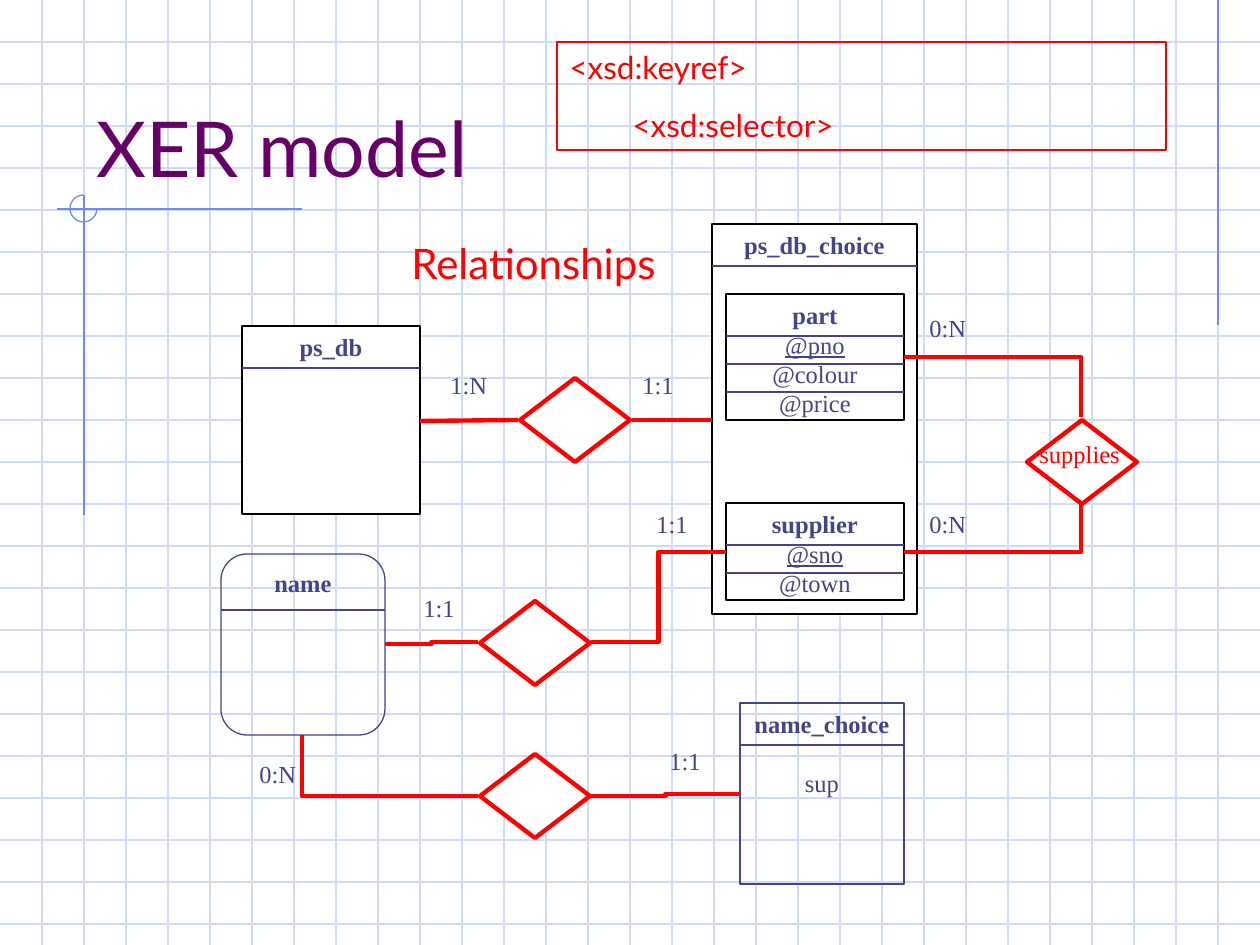
from pptx import Presentation
from pptx import util as u
from pptx.dml.color import RGBColor
from pptx.enum import shapes, text
from pptx.oxml.ns import qn
from lxml import etree

PX = 914400 / 126
WHITE = RGBColor(0xFF, 0xFF, 0xFF)
BLACK = RGBColor(0, 0, 0)
RED = RGBColor(0xFF, 0, 0)
NAVY = RGBColor(0x40, 0x45, 0x8C)
PLUM = RGBColor(0x66, 0, 0x66)
PALE = RGBColor(0xCF, 0xDB, 0xFD)
BLUE = RGBColor(0x6F, 0x89, 0xF7)
KIND = shapes.MSO_SHAPE
LINK = shapes.MSO_CONNECTOR

deck = Presentation()
deck.slide_width = int(1260 * PX)
deck.slide_height = int(945 * PX)
slide = deck.slides.add_slide(deck.slide_layouts[6])


def put(words, box, kind=None, fill=None, edge=None, wide=0.75, size=14,
        font="Times New Roman", hue=NAVY, mid=False, head=False, key=None,
        gap=0, low=False, wrap=True):
    area = [int(n * PX) for n in box]
    if kind is None:
        shape = slide.shapes.add_textbox(*area)
    else:
        shape = slide.shapes.add_shape(kind, *area)
        shape.shadow.inherit = False
        shape.line.color.rgb = edge
        shape.line.width = u.Pt(wide)
        if fill is None:
            shape.fill.background()
        else:
            shape.fill.solid()
            shape.fill.fore_color.rgb = fill
    frame = shape.text_frame
    frame.word_wrap = wrap
    frame.vertical_anchor = text.MSO_ANCHOR.BOTTOM if low else text.MSO_ANCHOR.TOP
    for i, word in enumerate(words):
        para = frame.paragraphs[0] if i == 0 else frame.add_paragraph()
        para.alignment = text.PP_ALIGN.CENTER if mid else text.PP_ALIGN.LEFT
        if i and gap:
            para.space_before = u.Pt(gap)
        run = para.add_run()
        run.text = word
        run.font.name = font
        run.font.size = u.Pt(size)
        run.font.color.rgb = hue
        run.font.bold = head and i == 0
        run.font.underline = i == key
    return shape


def wire(ends, hue, wide=0.75, bends=0):
    link = LINK.ELBOW if bends else LINK.STRAIGHT
    line = slide.shapes.add_connector(link, *[int(n * PX) for n in ends])
    line.line.color.rgb = hue
    line.line.width = u.Pt(wide)
    props = line._element.spPr
    if bends == 1:
        props.find(qn("a:prstGeom")).set("prst", "bentConnector2")
    etree.SubElement(props, qn("a:effectLst"))


for y in range(42, 945, 42):
    wire((0, y, 1260, y), PALE)
for x in range(42, 1260, 42):
    wire((x, 0, x, 945), PALE)
for ends in [(1218, 0, 1218, 325), (302, 209, 57, 209), (84, 195, 84, 515)]:
    wire(ends, BLUE)
ring = put([], (70, 195, 27, 27), KIND.ARC, edge=BLUE)
ring.adjustments[0] = 0
ring.adjustments[1] = 162

put(["XER model"], (84, 42, 1071, 157), size=44, font="Lato", hue=PLUM, low=True)

for words, box, rules, key in [
    (["ps_db_choice"], (712, 224, 205, 390), [266], None),
    (["supplier", "@sno", "@town"], (726, 503, 178, 97), [545, 573], 1),
    (["part", "@pno", "@colour", "@price"], (726, 294, 178, 126), [336, 364, 392], 1),
    (["ps_db"], (242, 326, 178, 188), [368], None),
]:
    put(words, box, KIND.RECTANGLE, WHITE, BLACK, mid=True, head=True, key=key)
    for y in rules:
        wire((box[0], y, box[0] + box[2], y), NAVY)

for x, y in [(1027, 420), (520, 378), (480, 601), (480, 754)]:
    put([], (x, y, 110, 84), KIND.DIAMOND, WHITE, RED, 2.5)
put(["supplies"], (1027, 433, 110, 43), hue=RED)

for ends, bends in [
    ((904, 357, 1081, 417), 1),
    ((904, 552, 1081, 505), 1),
    ((420, 421, 518, 420), 0),
    ((632, 420, 712, 420), 0),
    ((478, 796, 302, 735), 1),
    ((591, 642, 726, 552), 2),
    ((385, 644, 478, 642), 2),
    ((591, 796, 740, 794), 2),
]:
    wire(ends, RED, 2.5, bends)

for word, x, y in [
    ("0:N", 917, 307), ("0:N", 917, 503), ("1:N", 438, 364), ("1:1", 630, 364),
    ("1:1", 411, 587), ("1:1", 644, 503), ("0:N", 247, 753), ("1:1", 657, 740),
]:
    put([word], (x, y, 82, 43))

name = put(["name"], (221, 554, 164, 181), KIND.ROUNDED_RECTANGLE, edge=NAVY,
           mid=True, head=True, wrap=False)
name.adjustments[0] = 0.16
wire((221, 610, 385, 610), NAVY)
put(["name_choice", "sup"], (740, 703, 164, 181), KIND.RECTANGLE, edge=NAVY,
    mid=True, head=True, gap=16.8, wrap=False)
wire((740, 745, 904, 745), NAVY)

put(["Relationships"], (399, 231, 273, 113), size=24, font="Lato", hue=RED)
put(["<xsd:keyref>", "\t<xsd:selector>"], (557, 42, 609, 108), KIND.RECTANGLE,
    edge=RED, size=18, font="Lato", hue=RED, gap=11.2)

deck.save("out.pptx")
